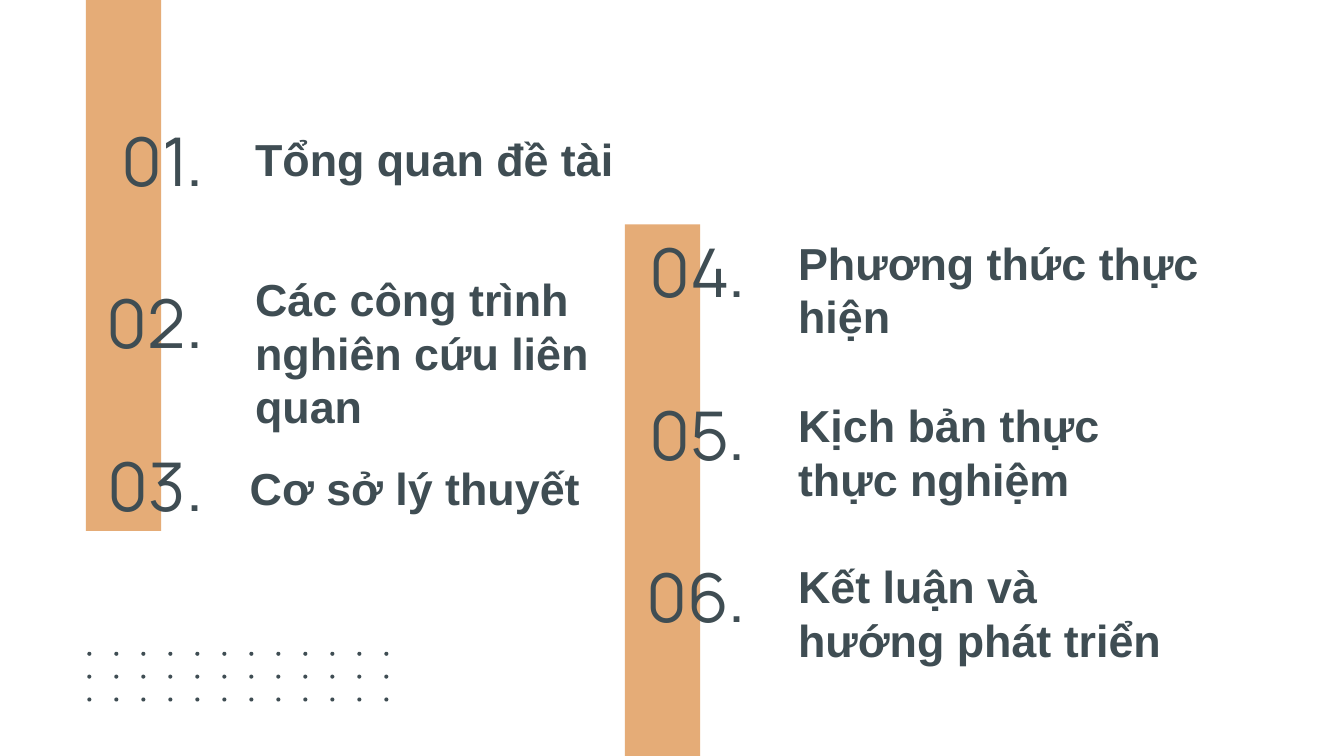
from pptx import Presentation
from pptx.dml.color import RGBColor
from pptx.enum.shapes import MSO_SHAPE
from pptx.enum.text import MSO_ANCHOR, PP_ALIGN
from pptx.util import Inches, Pt

COLORS = {"bar": "E5AC77", "ink": "3F4D53"}


def write_text(frame, text, *, font, size, color, bold=False, align=PP_ALIGN.LEFT):
    para = frame.paragraphs[0]
    para.alignment = align
    span = para.add_run()
    span.text = text
    span.font.name = font
    span.font.size = Pt(size)
    span.font.bold = bold
    span.font.color.rgb = RGBColor.from_string(color)


class AgendaPage:
    def __init__(self, page):
        self.page = page

    def shape(self, kind, left, top, width, height, color):
        shape = self.page.shapes.add_shape(
            kind, Inches(left), Inches(top), Inches(width), Inches(height))
        shape.fill.solid()
        shape.fill.fore_color.rgb = RGBColor.from_string(COLORS[color])
        shape.line.fill.background()
        shape.shadow.inherit = False

    def bar(self, left, top, height):
        self.shape(MSO_SHAPE.RECTANGLE, left, top, 0.56, height, "bar")

    def text_frame(self, left, top, width, height, anchor):
        box = self.page.shapes.add_textbox(
            Inches(left), Inches(top), Inches(width), Inches(height))
        frame = box.text_frame
        frame.word_wrap = True
        frame.vertical_anchor = anchor
        frame.margin_left = frame.margin_right = Inches(0.1)
        frame.margin_top = frame.margin_bottom = Inches(0.1)
        return frame

    def number(self, text, left, top):
        frame = self.text_frame(left, top, 1.44, 0.59, MSO_ANCHOR.MIDDLE)
        write_text(frame, text, font="Manrope", size=36, color=COLORS["ink"],
                   align=PP_ALIGN.RIGHT)

    def topic(self, text, left, top, width, height):
        frame = self.text_frame(left, top, width, height, MSO_ANCHOR.BOTTOM)
        write_text(frame, text, font="Arial", size=24, color=COLORS["ink"], bold=True)

    def dot_grid(self, left, top, columns, rows, width, height):
        for row in range(rows):
            for column in range(columns):
                self.shape(MSO_SHAPE.OVAL, left + column * width / (columns - 1),
                           top + row * height / (rows - 1), 0.03, 0.03, "ink")


def main():
    deck = Presentation()
    deck.slide_width = Inches(10)
    deck.slide_height = Inches(10 * 9 / 16)
    agenda = AgendaPage(deck.slides.add_slide(deck.slide_layouts[6]))

    agenda.bar(0.64, 0, 3.95)
    agenda.bar(4.65, 1.67, 4.06)

    topics = [
        ("Tổng quan đề tài", 1.8, 1.03, 3.07, 0.45),
        ("Các công trình nghiên cứu liên quan", 1.8, 2.09, 3.07, 1.23),
        ("Cơ sở lý thuyết", 1.76, 3.48, 3.07, 0.45),
        ("Phương thức thực hiện", 5.84, 2.2, 3.92, 0.45),
        ("Kịch bản thực thực nghiệm", 5.84, 3.07, 3.07, 0.79),
        ("Kết luận và hướng phát triển", 5.84, 4.61, 3.07, 0.45),
    ]
    number_columns = [(0.17, 0.89), (4.21, 1.72)]
    for index, topic in enumerate(topics):
        column, row = divmod(index, 3)
        left, top = number_columns[column]
        agenda.number(f"{index + 1:02}.", left, top + row * 1.21)
        agenda.topic(*topic)

    agenda.dot_grid(0.65, 4.85, 12, 3, 2.21, 0.34)
    deck.save("out.pptx")


if __name__ == "__main__":
    main()
